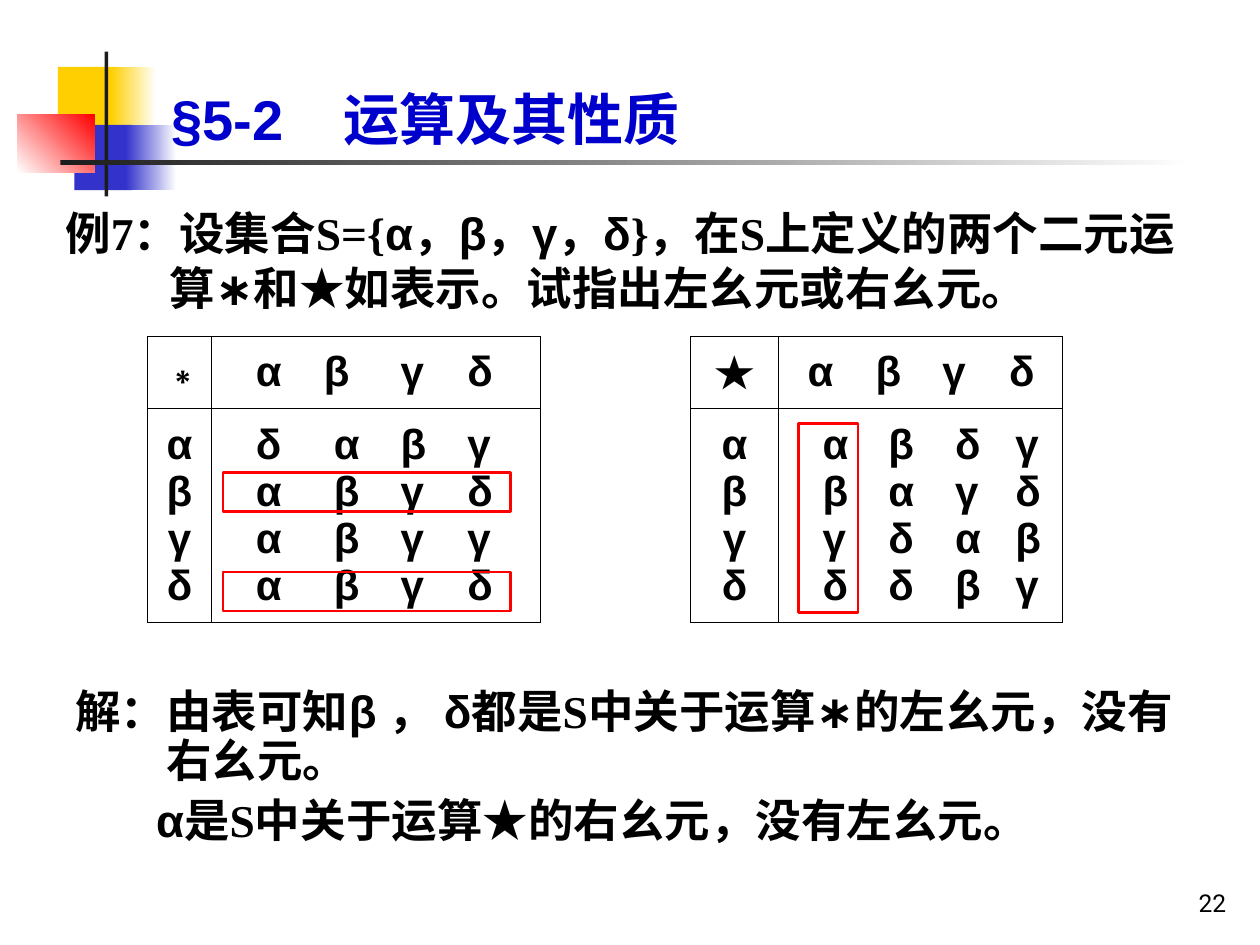
from itertools import groupby

from lxml.etree import SubElement
from pptx import Presentation
from pptx.dml.color import RGBColor
from pptx.enum.shapes import MSO_SHAPE
from pptx.enum.text import MSO_ANCHOR, PP_ALIGN
from pptx.oxml.ns import qn
from pptx.util import Emu, Inches, Pt

BLACK = RGBColor(0x00, 0x00, 0x00)
WHITE = RGBColor(0xFF, 0xFF, 0xFF)
CHARCOAL = RGBColor(0x1C, 0x1C, 0x1C)
YELLOW = RGBColor(0xFF, 0xCF, 0x01)
INDIGO = RGBColor(0x33, 0x33, 0xCC)
RED = RGBColor(0xFF, 0x00, 0x00)
TITLE_BLUE = RGBColor(0x00, 0x00, 0xCC)

SLIDE_COLS, SLIDE_ROWS = 100, 75
UNIT = Inches(0.1)

SANS, SERIF = "Arial", "Times New Roman"
SANS_SYMBOLS = "αβγδ∗"
ELEMENTS = ["α", "β", "γ", "δ"]

PROBLEM = "例7：设集合S={α，β，γ，δ}，在S上定义的两个二元运算∗和★如表示。试指出左幺元或右幺元。"
SOLUTION = "解：由表可知β ， δ都是S中关于运算∗的左幺元，没有右幺元。"
SECOND_SOLUTION = "α是S中关于运算★的右幺元，没有左幺元。"

STAR_ROWS = ["δαβγ", "αβγδ", "αβγγ", "αβγδ"]
SOLID_STAR_ROWS = ["αβδγ", "βαγδ", "γδαβ", "δδβγ"]


def grid(*lengths):
    return [Emu(round(length * UNIT)) for length in lengths]


def apply(target, values):
    for name, value in values.items():
        setattr(target, name, value)


def add_block(slide, place, colour, fade_angle=None, fade_to=WHITE):
    """Borderless rectangle, plain or fading from colour to fade_to."""
    block = slide.shapes.add_shape(MSO_SHAPE.RECTANGLE, *grid(*place))
    block.shadow.inherit = False
    block.line.fill.background()
    if fade_angle is None:
        block.fill.solid()
        block.fill.fore_color.rgb = colour
        return
    block.fill.gradient()
    block.fill.gradient_angle = fade_angle
    stops = block.fill.gradient_stops
    for stop, position, stop_colour in zip(stops, (0, 1), (colour, fade_to)):
        stop.position = position
        stop.color.rgb = stop_colour


def add_highlight(slide, place):
    frame = slide.shapes.add_shape(MSO_SHAPE.RECTANGLE, *grid(*place))
    frame.shadow.inherit = False
    frame.fill.background()
    frame.line.color.rgb = RED
    frame.line.width = Pt(1.5)


def set_indent(paragraph, left, first):
    properties = paragraph._p.get_or_add_pPr()
    properties.set("marL", str(Inches(left)))
    properties.set("indent", str(Inches(first)))


def set_tabs(paragraph, stops):
    tab_list = SubElement(paragraph._p.get_or_add_pPr(), qn("a:tabLst"))
    for stop in stops:
        SubElement(tab_list, qn("a:tab"), pos=str(Inches(stop)), algn="l")


def write(paragraph, text, size, colour=BLACK, font=None, bold=True):
    """Without a font, Greek letters are sans serif and the rest is serif."""
    for is_sans, letters in groupby(text, lambda letter: letter in SANS_SYMBOLS):
        run = paragraph.add_run()
        run.text = "".join(letters)
        name = font or (SANS if is_sans else SERIF)
        apply(run.font, {"name": name, "size": Pt(size), "bold": bold})
        run.font.color.rgb = colour


def add_text_frame(slide, place, anchor=MSO_ANCHOR.TOP):
    frame = slide.shapes.add_textbox(*grid(*place)).text_frame
    apply(frame, {"word_wrap": True, "vertical_anchor": anchor})
    return frame


def set_borders(cell, hidden=()):
    properties = cell._tc.get_or_add_tcPr()
    for position, side in enumerate(("lnL", "lnR", "lnT", "lnB")):
        border = SubElement(properties, qn(f"a:{side}"), w=str(Pt(0.45)))
        if side in hidden:
            SubElement(border, qn("a:noFill"))
        else:
            fill = SubElement(border, qn("a:solidFill"))
            SubElement(fill, qn("a:srgbClr"), val=str(BLACK))
        properties.remove(border)
        properties.insert(position, border)


def fill_cell(cell, lines, size=24, inset=0.1, stops=()):
    """Tabbed columns when stops are given, otherwise centred lines."""
    apply(cell, {"vertical_anchor": MSO_ANCHOR.MIDDLE, "margin_left": Inches(inset)})
    for index, line in enumerate(lines):
        frame = cell.text_frame
        paragraph = frame.add_paragraph() if index else frame.paragraphs[0]
        if stops:
            set_tabs(paragraph, stops)
            line = "\t".join(line)
        else:
            paragraph.alignment = PP_ALIGN.CENTER
        write(paragraph, line, size)


def add_operation_tables(slide):
    widths, heights = (5.1, 26.1, 11.9, 7, 22.5), (5.7, 17)
    place = grid(11.7, 26.7, sum(widths), sum(heights))
    table = slide.shapes.add_table(len(heights), len(widths), *place).table
    apply(table, {"first_row": False, "horz_banding": False})
    for column, width in zip(table.columns, grid(*widths)):
        column.width = width
    for row, height in zip(table.rows, grid(*heights)):
        row.height = height

    gap_column = 2
    for row in range(len(heights)):
        for column in range(len(widths)):
            cell = table.cell(row, column)
            cell.fill.background()
            set_borders(cell, ("lnT", "lnB") if column == gap_column else ())

    fill_cell(table.cell(0, 0), ["∗"], size=26)
    fill_cell(table.cell(0, 1), [ELEMENTS], inset=0.35, stops=(0.54, 1.15, 1.68))
    fill_cell(table.cell(0, 3), ["★"])
    fill_cell(table.cell(0, 4), [ELEMENTS], inset=0.23, stops=(0.54, 1.07, 1.6))
    for key_column in (0, 3):
        fill_cell(table.cell(1, key_column), ELEMENTS)
    fill_cell(table.cell(1, 1), STAR_ROWS, inset=0.35, stops=(0.62, 1.15, 1.68))
    fill_cell(table.cell(1, 4), SOLID_STAR_ROWS, inset=0.35, stops=(0.52, 1.05, 1.53))


def add_decoration(slide):
    add_block(slide, (4.6, 5.3, 4.8, 5.2), YELLOW)
    add_block(slide, (8.8, 5.3, 3.6, 5.2), YELLOW, fade_angle=0)
    add_block(slide, (5.9, 9.9, 4.6, 5.2), INDIGO)
    add_block(slide, (10, 9.9, 4, 5.2), INDIGO, fade_angle=0)
    add_block(slide, (1.4, 9.1, 6.1, 4.6), WHITE, fade_angle=45, fade_to=RED)
    add_block(slide, (8.3, 4.1, 0.3, 11.5), CHARCOAL)
    add_block(slide, (4.8, 12.7, 90, 0.4), CHARCOAL, fade_angle=0)


def add_heading(slide):
    number = add_text_frame(slide, (77.5, 68.3, 20.8, 5), MSO_ANCHOR.BOTTOM).paragraphs[0]
    number.alignment = PP_ALIGN.RIGHT
    write(number, "22", 14, font="Roboto", bold=False)
    title = add_text_frame(slide, (12.6, 0, 85.2, 12.5), MSO_ANCHOR.BOTTOM).paragraphs[0]
    set_tabs(title, [1.37])
    write(title, "§5-2\t运算及其性质", 32, TITLE_BLUE, SANS)


def add_problem(slide):
    problem = add_text_frame(slide, (4.2, 15.8, 92.3, 11.7)).paragraphs[0]
    problem.space_before = Pt(6.5)
    set_indent(problem, 0.83, -0.83)
    write(problem, PROBLEM, 26)


def add_solution(slide):
    frame = add_text_frame(slide, (5, 54.2, 90, 13.6))
    answers = ((frame.paragraphs[0], SOLUTION, -0.72),
               (frame.add_paragraph(), SECOND_SOLUTION, -0.08))
    for paragraph, answer, first in answers:
        apply(paragraph, {"line_spacing": 0.9, "space_before": Pt(6.5)})
        set_indent(paragraph, 0.72, first)
        write(paragraph, answer, 26)


def main():
    deck = Presentation()
    deck.slide_width, deck.slide_height = grid(SLIDE_COLS, SLIDE_ROWS)
    slide = deck.slides.add_slide(deck.slide_layouts[6])
    add_decoration(slide)
    add_heading(slide)
    add_problem(slide)
    add_operation_tables(slide)
    add_solution(slide)
    for identity_row_top in (37.5, 45.4):
        add_highlight(slide, (17.7, identity_row_top, 22.8, 3.1))
    add_highlight(slide, (63.4, 33.6, 4.7, 15))
    deck.save("out.pptx")


if __name__ == "__main__":
    main()
